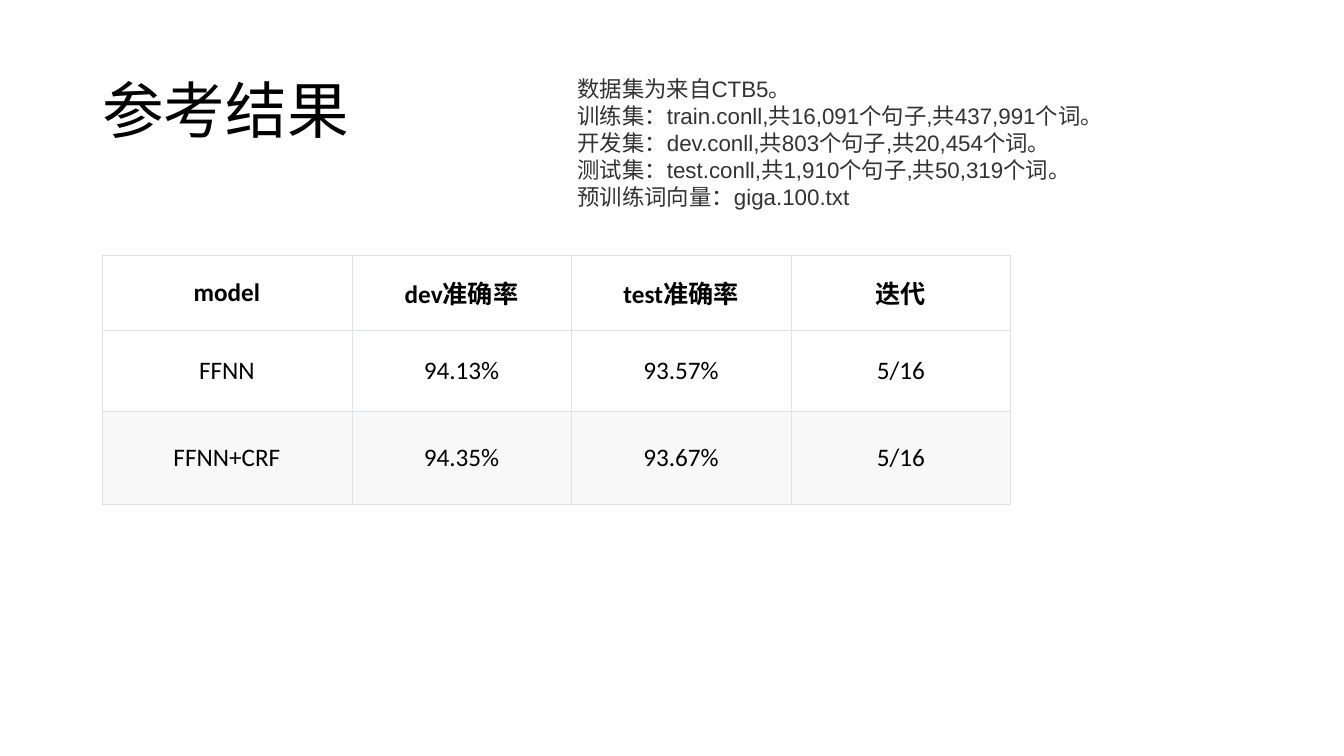
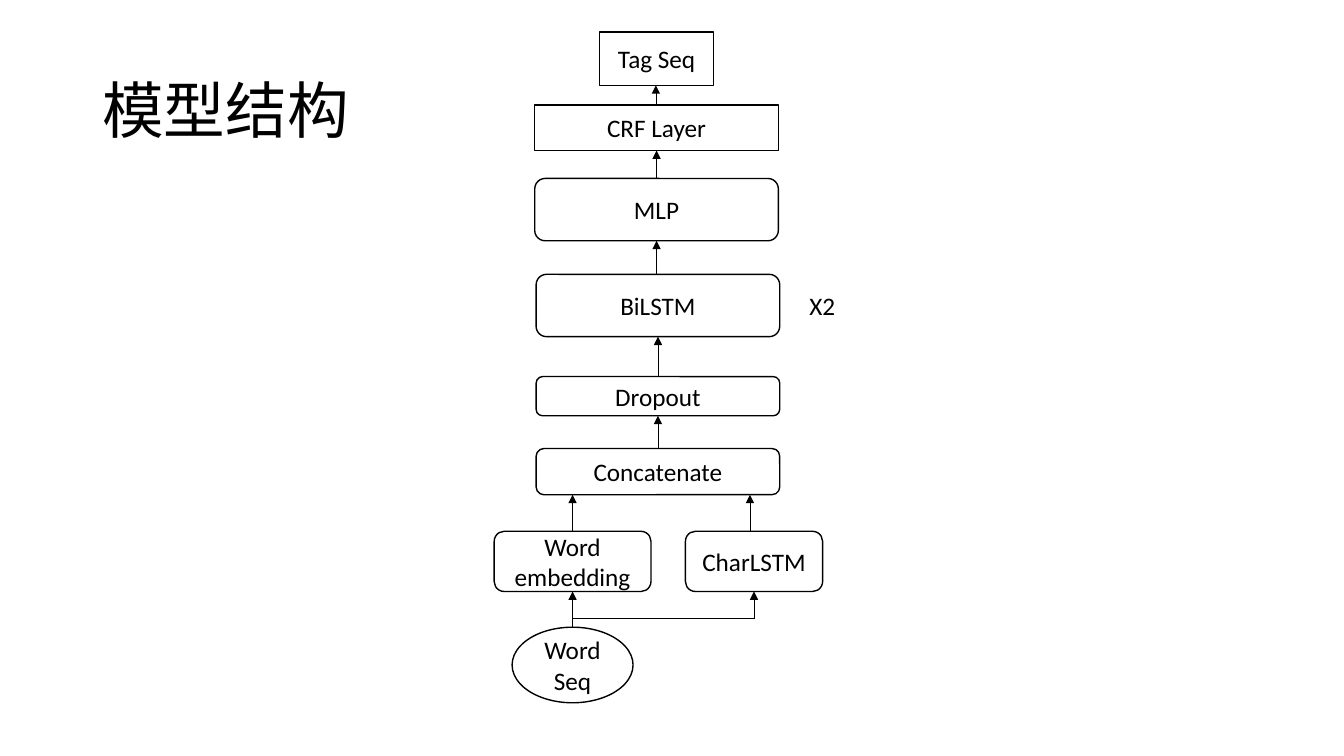
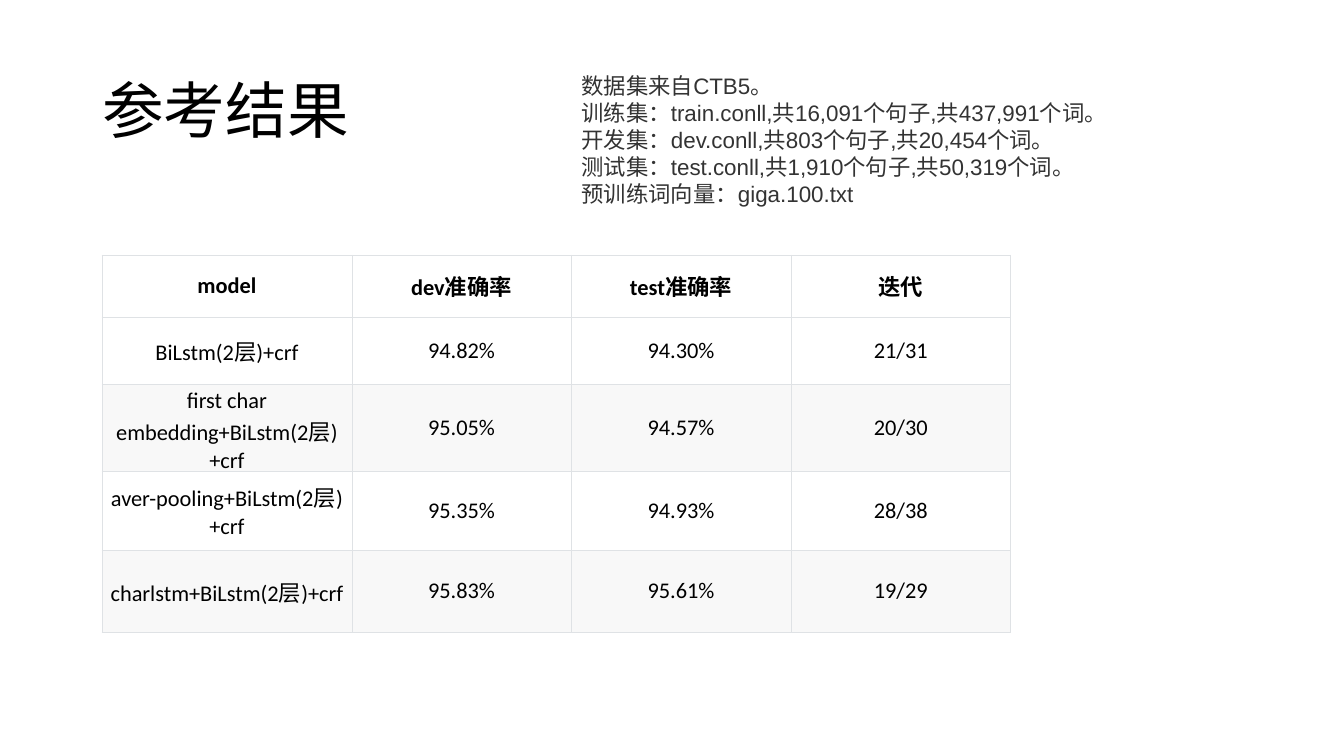
from typing import NamedTuple

from lxml.etree import SubElement as Sub
from pptx import Presentation
from pptx.dml.color import RGBColor as Rgb
from pptx.enum.shapes import MSO_CONNECTOR as Conn, MSO_SHAPE as Geo
from pptx.enum.text import MSO_ANCHOR as Anchor, PP_ALIGN as Align
from pptx.oxml.ns import qn
from pptx.util import Pt

INK = {"text": "000000", "note": "333333", "paper": "FFFFFF",
       "band": "F8F8F8", "grid": "DFE2E5"}
BODY, PLAIN = "Calibri", "Arial"


class Box(NamedTuple):
    left: float
    top: float
    width: float
    height: float


class Node(NamedTuple):
    text: str
    geo: Geo
    mid: float
    top: float
    width: float
    height: float

    @property
    def base(self) -> float:
        return self.top + self.height


class Link(NamedTuple):
    low: str
    high: str
    x: float


# Shared places
TITLE = Box(66, 28.75, 828, 104.4)
GRID = Box(72.8, 182.2, 649.4, 0)
COLS = (178.6, 156.6, 157, 157)
HEAD = ("model", "dev准确率", "test准确率", "迭代")
FACTS = ("训练集：train.conll,共16,091个句子,共437,991个词。",
         "开发集：dev.conll,共803个句子,共20,454个词。",
         "测试集：test.conll,共1,910个句子,共50,319个词。",
         "预训练词向量：giga.100.txt")

# Model layers, bottom to top
NODES = (
    Node("Word Seq", Geo.OVAL, 409, 448, 86.4, 54),
    Node("Word embedding", Geo.ROUNDED_RECTANGLE, 409, 379.5, 112, 43),
    Node("CharLSTM", Geo.ROUNDED_RECTANGLE, 538.6, 379.5, 98, 43),
    Node("Concatenate", Geo.ROUNDED_RECTANGLE, 470, 320.4, 174, 33),
    Node("Dropout", Geo.ROUNDED_RECTANGLE, 470, 269, 174, 28),
    Node("BiLSTM", Geo.ROUNDED_RECTANGLE, 470, 196, 174, 44.5),
    Node("MLP", Geo.ROUNDED_RECTANGLE, 469, 127.5, 174, 44.5),
    Node("CRF Layer", Geo.RECTANGLE, 469, 75, 174, 32.5),
    Node("Tag Seq", Geo.RECTANGLE, 469, 23, 81.5, 38),
)
LINKS = (
    Link("Word Seq", "Word embedding", 409),
    Link("Word embedding", "Concatenate", 409),
    Link("CharLSTM", "Concatenate", 535.7),
    Link("Concatenate", "Dropout", 470),
    Link("Dropout", "BiLSTM", 470),
    Link("BiLSTM", "MLP", 469),
    Link("MLP", "CRF Layer", 469),
    Link("CRF Layer", "Tag Seq", 468.5),
)
FORK = 442


def color(key: str) -> Rgb:
    return Rgb.from_string(INK[key])


def style(frame, size: float, font: str = BODY, key: str = "text",
          bold: bool = False, align: Align = Align.LEFT) -> None:
    for para in frame.paragraphs:
        para.alignment = align
        for run in para.runs:
            run.font.size, run.font.name = Pt(size), font
            run.font.bold = bold
            run.font.color.rgb = color(key)


def add_text(slide, box: Box, text: str, wrap: bool = True):
    frame = slide.shapes.add_textbox(*map(Pt, box)).text_frame
    frame.word_wrap = wrap
    frame.vertical_anchor = Anchor.MIDDLE
    frame.text = text
    return frame


def add_page(deck, title: str):
    slide = deck.slides.add_slide(deck.slide_layouts[6])
    frame = add_text(slide, TITLE, title)
    style(frame, 44)
    frame.paragraphs[0].line_spacing = 0.9
    return slide


def add_notes(slide, left: float, top: float, lead: str) -> None:
    frame = add_text(slide, Box(left, top, 438.5, 104.4),
                     "\n".join((lead, *FACTS)))
    style(frame, 16, PLAIN, "note")


def edge(cell) -> None:
    props = cell._tc.get_or_add_tcPr()
    for tag in ("a:lnL", "a:lnR", "a:lnT", "a:lnB"):
        line = Sub(props, qn(tag), w=str(Pt(0.5)))
        fill = Sub(line, qn("a:solidFill"))
        Sub(fill, qn("a:srgbClr"), val=INK["grid"])


def add_grid(slide, rows: tuple, highs: tuple, size: float) -> None:
    box = GRID._replace(height=sum(highs))
    table = slide.shapes.add_table(len(highs), len(COLS), *map(Pt, box)).table
    table.first_row = table.horz_banding = False
    for col, width in zip(table.columns, COLS):
        col.width = Pt(width)
    for i, (row, high, words) in enumerate(zip(table.rows, highs, (HEAD, *rows))):
        row.height = Pt(high)
        for cell, word in zip(row.cells, words):
            cell.margin_left = cell.margin_right = Pt(5)
            cell.margin_top = cell.margin_bottom = Pt(2.2)
            cell.vertical_anchor = Anchor.MIDDLE
            cell.text = word
            style(cell.text_frame, size, bold=i == 0, align=Align.CENTER)
            edge(cell)
            cell.fill.solid()
            # Every second body row is tinted
            cell.fill.fore_color.rgb = color("band" if i and i % 2 == 0 else "paper")


def add_node(slide, node: Node) -> None:
    box = Box(node.mid - node.width / 2, node.top, node.width, node.height)
    shape = slide.shapes.add_shape(node.geo, *map(Pt, box))
    shape.shadow.inherit = False
    shape.fill.solid()
    shape.fill.fore_color.rgb = color("paper")
    shape.line.color.rgb = color("text")
    shape.line.width = Pt(1)
    frame = shape.text_frame
    frame.text = node.text
    frame.vertical_anchor = Anchor.MIDDLE
    style(frame, 18, align=Align.CENTER)


def add_line(slide, x1: float, y1: float, x2: float, y2: float,
             head: bool = True) -> None:
    wire = slide.shapes.add_connector(Conn.STRAIGHT, Pt(x1), Pt(y1), Pt(x2), Pt(y2))
    wire.line.color.rgb = color("text")
    wire.line.width = Pt(0.5)
    if head:
        Sub(wire.line._get_or_add_ln(), qn("a:tailEnd"), type="triangle")
    Sub(wire._element.spPr, qn("a:effectLst"))


def add_model(slide) -> None:
    nodes = {node.text: node for node in NODES}
    for node in NODES:
        add_node(slide, node)
    for link in LINKS:
        add_line(slide, link.x, nodes[link.low].top, link.x, nodes[link.high].base)
    # Side branch to the character model
    seq, char = nodes["Word Seq"], nodes["CharLSTM"]
    add_line(slide, seq.mid, FORK, char.mid, FORK, head=False)
    add_line(slide, char.mid, FORK, char.mid, char.base)
    style(add_text(slide, Box(571, 203.8, 33, 29), "X2", wrap=False), 18)


def main() -> None:
    deck = Presentation()
    deck.slide_width, deck.slide_height = Pt(960), Pt(540)

    # First results
    slide = add_page(deck, "参考结果")
    add_grid(slide, (("FFNN", "94.13%", "93.57%", "5/16"),
                     ("FFNN+CRF", "94.35%", "93.67%", "5/16")),
             (53.7, 57.8, 66.5), 18)
    add_notes(slide, 405.4, 49.7, "数据集为来自CTB5。")

    # Model structure
    add_model(add_page(deck, "模型结构"))

    # Further results
    slide = add_page(deck, "参考结果")
    add_grid(slide, (
        ("BiLstm(2层)+crf", "94.82%", "94.30%", "21/31"),
        ("first char embedding+BiLstm(2层)+crf", "95.05%", "94.57%", "20/30"),
        ("aver-pooling+BiLstm(2层)+crf", "95.35%", "94.93%", "28/38"),
        ("charlstm+BiLstm(2层)+crf", "95.83%", "95.61%", "19/29"),
    ), (44.5, 47.8, 55, 56.3, 59.2), 16)
    add_notes(slide, 408.3, 47.5, "数据集来自CTB5。")

    deck.save("out.pptx")


if __name__ == "__main__":
    main()
